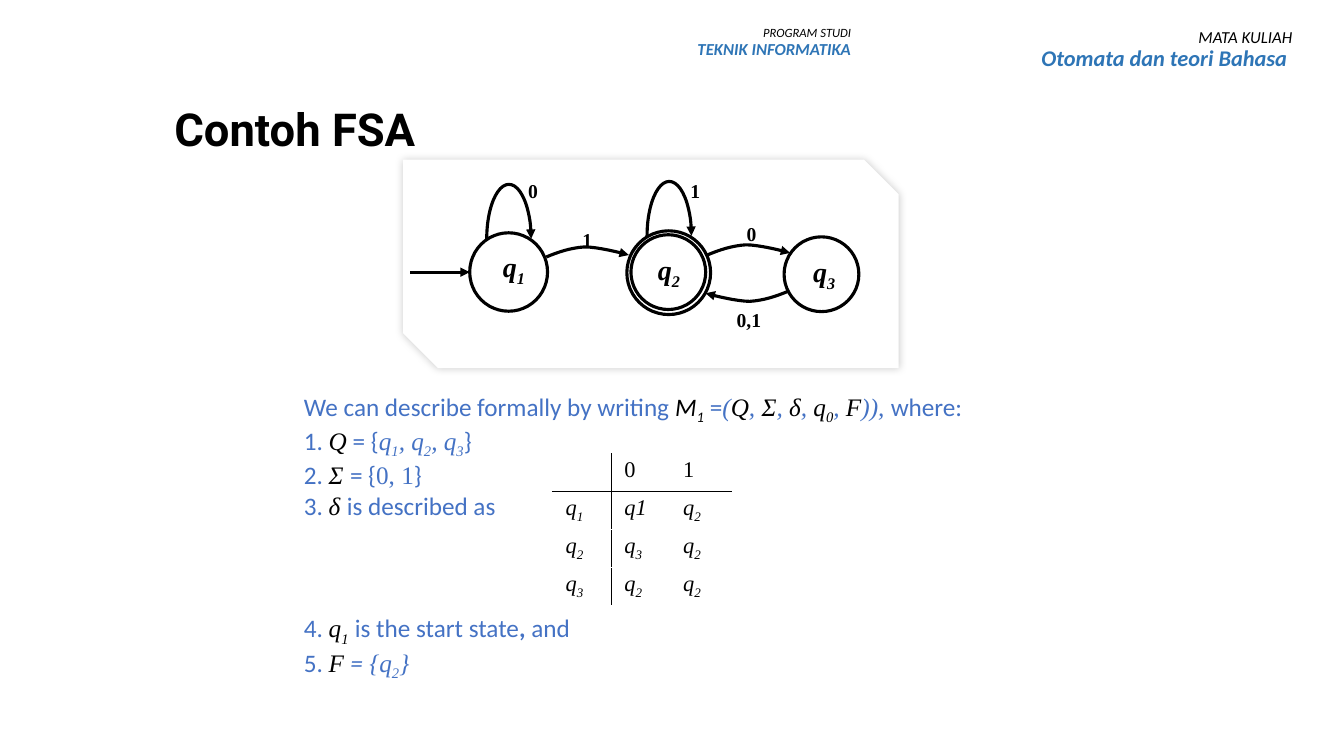
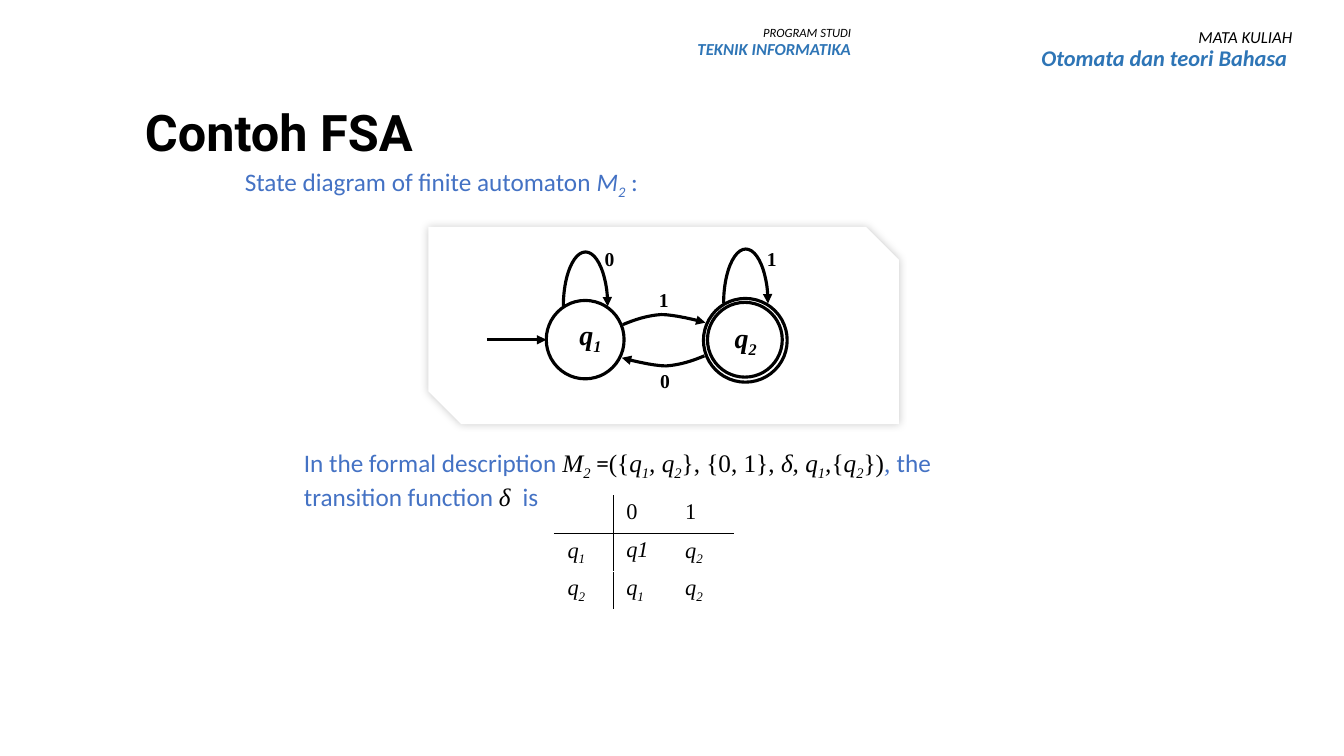
from lxml import etree
from pptx import Presentation
from pptx import util as u
from pptx.dml.color import RGBColor
from pptx.enum import shapes, text
from pptx.oxml import parse_xml
from pptx.oxml.ns import nsdecls, qn

COLORS = {"ink": "000000", "paper": "FFFFFF", "body": "4472C4", "header": "2E75B6"}
SERIF = "Times New Roman"
STROKE = 2.25


def write(target, paragraphs, box=None, size=18, font="Calibri", color="body", bold=False,
          italic=False, align=None, spacing=None, anchor=text.MSO_ANCHOR.TOP):
    """Paragraphs are strings or lists of (text, flags): t serif, i italic, k black, b bold.

    An underscore makes the next character a subscript.
    """
    holder = target.shapes.add_textbox(*map(u.Pt, box)) if box else target
    frame = holder.text_frame
    frame.word_wrap = True
    frame.vertical_anchor = anchor
    for number, runs in enumerate(paragraphs):
        paragraph = frame.add_paragraph() if number else frame.paragraphs[0]
        paragraph.alignment = align
        paragraph.line_spacing = spacing
        for words, flags in [(runs, "")] if isinstance(runs, str) else runs:
            first, *rest = words.split("_")
            pieces = [(first, False)]
            for chunk in rest:
                pieces += [(chunk[0], True), (chunk[1:], False)]
            for piece, subscript in pieces:
                if not piece:
                    continue
                run = paragraph.add_run()
                run.text = piece
                run.font.size = u.Pt(size)
                run.font.name = SERIF if "t" in flags else font
                run.font.bold = bold or "b" in flags
                run.font.italic = italic or "i" in flags
                run.font.color.rgb = RGBColor.from_string(COLORS["ink" if "k" in flags else color])
                if subscript:
                    run.font._element.set("baseline", "-25000")
    return frame


def outline(stroke, arrow=None):
    """Black line without shadow; arrow is None, headEnd or tailEnd."""
    stroke.line.color.rgb = RGBColor.from_string(COLORS["ink"])
    stroke.line.width = u.Pt(STROKE)
    if hasattr(stroke, "fill"):
        stroke.fill.background()
        stroke.shadow.inherit = False
    else:
        etree.SubElement(stroke._element.spPr, qn("a:effectLst"))
    if arrow:
        etree.SubElement(stroke.line._get_or_add_ln(), qn("a:" + arrow), type="triangle")


# Diagram geometry, measured from the top left of state q1
Q1_RINGS = [(0, 0, 55.6, 56)]
Q2_RINGS = [(112.3, -1.4, 59.8, 59.8), (115.2, 1.4, 53.4, 53.4)]
Q3_RINGS = [(224.6, 2.9, 53.4, 53.4)]
STATE_NAMES = [("q_1", 16.6, 8.6), ("q_2", 127.4, 10.8), ("q_3", 238.3, 12.2)]
LOOPS = [(8.6, -31), (123.1, -33.1)]
LOOP_LABELS = [("0", 34.6, -41.8), ("1", 150.5, -41.8)]
ARC = [(0, 0), (8.6, -3.6), (17.3, -6.5), (27.4, -7.2), (36.7, -7.2), (54, -2.9), (59, -1.4)]
ARC_STEPS = 8

pages = [
    {
        "title": (117.4, 72, 545.8, 44.6), "title_size": 32.4,
        "card": (288, 114, 354, 149), "origin": (335.5, 166.3),
        "rings": Q1_RINGS + Q2_RINGS + Q3_RINGS, "states": 3,
        # start x, start y, direction
        "arcs": [(54.7, 17.3, 1), (169.9, 15.8, 1), (227.5, 41.8, -1)],
        "labels": [("1", 73.4, -7.2), ("0", 190.8, -11.5), ("0,1", 183.6, 50.4)],
        "body": (210, 275.8, 522, 210),
        "description": [
            [("We can describe formally by writing ", ""), ("M_1 ", "ik"), ("=", ""), ("(", "ti"),
             ("Q", "tik"), (",", "ti"), (" Σ", "tik"), (",", "ti"), (" δ", "tik"), (",", "ti"),
             (" q_0", "tik"), (",", "ti"), (" F", "tik"), (")), ", "ti"), ("where:", "")],
            [("1. ", ""), ("Q", "tik"), (" = {", ""), ("q_1, q_2, q_3", "ti"), ("}", "")],
            [("2. ", ""), ("Σ ", "tik"), ("= {", ""), ("0, 1", "t"), ("}", "")],
            [("3. ", ""), ("δ ", "tik"), ("is described as", "")],
            [("4. ", ""), ("q_1 ", "tik"), ("is the start state", ""), (", ", "b"), ("and", "")],
            [("5. ", ""), ("F ", "tik"), ("=", "i"), (" {q_2}", "ti")],
        ],
        "table_at": (394.6, 324),
        "transitions": [["", "0", "1"], ["q_1", "q1", "q_2"], ["q_2", "q_3", "q_2"],
                        ["q_3", "q_2", "q_2"]],
    },
    {
        "title": (96.5, 64.8, 767.5, 64.1), "title_size": 36,
        "caption": [[("State diagram of finite automaton ", ""), ("M_2 ", "i"), (":", "")]],
        "card": (306, 162, 336, 141), "origin": (390.2, 214.6),
        "rings": Q1_RINGS + Q2_RINGS, "states": 2,
        "arcs": [(54.7, 17.3, 1), (113, 39.6, -1)],
        "labels": [("1", 73.4, -12.2), ("0", 74.2, 45.4)],
        "body": (210, 315.8, 522, 116),
        "description": [
            [("In the formal description ", ""), ("M_2", "tik"), (" =", "k"), ("({", "tk"),
             ("q_1, q_2", "tik"), ("}, {0, 1}, ", "tk"), ("δ, q_1,", "tik"), ("{", "tk"),
             ("q_2", "tik"), ("})", "tk"), (", ", "ti"), ("the transition function ", ""),
             ("δ ", "tik"), (" is", "")],
        ],
        "table_at": (396, 354.2),
        "transitions": [["", "0", "1"], ["q_1", "q1", "q_2"], ["q_2", "q_1", "q_2"]],
    },
]
COLUMN_WIDTHS = [42, 42, 43.6]
ROW_HEIGHT = 27.1

# Page header: box, then lines with size, colour and weight
HEADERS = [
    ((434, 15.8, 181, 40), "PROGRAM STUDI", 9, "TEKNIK INFORMATIKA", 12),
    ((659.5, 17.3, 270.7, 53.3), "MATA KULIAH", 12, "Otomata dan teori Bahasa ", 16),
]

deck = Presentation()
deck.slide_width, deck.slide_height = u.Pt(960), u.Pt(540)

for page in pages:
    slide = deck.slides.add_slide(deck.slide_layouts[6])

    # Header and title
    for box, label, label_size, name, name_size in HEADERS:
        header = write(slide, [label, name], box, size=label_size, color="ink", italic=True,
                       align=text.PP_ALIGN.RIGHT, spacing=0.9)
        name_font = header.paragraphs[1].runs[0].font
        name_font.size = u.Pt(name_size)
        name_font.bold = True
        name_font.color.rgb = RGBColor.from_string(COLORS["header"])
    write(slide, ["Contoh FSA"], page["title"], size=page["title_size"], font="Roboto",
          color="ink", bold=True, spacing=0.9, anchor=text.MSO_ANCHOR.MIDDLE)
    if "caption" in page:
        write(slide, page["caption"], (167.8, 115.2, 540, 29))

    # Card with a soft shadow
    card = slide.shapes.add_shape(shapes.MSO_SHAPE.SNIP_2_DIAG_RECTANGLE, *map(u.Pt, page["card"]))
    card.fill.solid()
    card.fill.fore_color.rgb = RGBColor.from_string(COLORS["paper"])
    card.line.fill.background()
    card._element.spPr.append(parse_xml(
        f'<a:effectLst {nsdecls("a")}><a:outerShdw blurRad="{u.Pt(6)}" dist="0" dir="13500000">'
        f'<a:srgbClr val="{COLORS["ink"]}"><a:alpha val="20000"/></a:srgbClr>'
        '</a:outerShdw></a:effectLst>'))

    # States, self loops and the start arrow
    left, top = page["origin"]
    for x, y, width, height in page["rings"]:
        outline(slide.shapes.add_shape(shapes.MSO_SHAPE.OVAL, u.Pt(left + x), u.Pt(top + y),
                                       u.Pt(width), u.Pt(height)))
    for x, y in LOOPS:
        loop = slide.shapes.add_shape(shapes.MSO_SHAPE.LEFT_BRACKET, u.Pt(left + x),
                                      u.Pt(top + y), u.Pt(38.9), u.Pt(31.7))
        loop.adjustments[0] = 0.5
        loop.rotation = 270
        loop._element.spPr.xfrm.set("flipH", "1")
        outline(loop, "headEnd")
    start = slide.shapes.add_connector(shapes.MSO_CONNECTOR.STRAIGHT, u.Pt(left - 42.5),
                                       u.Pt(top + 28.1), u.Pt(left), u.Pt(top + 28.1))
    outline(start, "tailEnd")

    # Curved transitions: two Bézier pieces each
    for x, y, direction in page["arcs"]:
        points = [(left + x, top + y)]
        for piece in (ARC[:4], ARC[3:]):
            for step in range(1, ARC_STEPS + 1):
                t = step / ARC_STEPS
                weights = ((1 - t) ** 3, 3 * t * (1 - t) ** 2, 3 * t * t * (1 - t), t ** 3)
                dx, dy = (sum(w * p[axis] for w, p in zip(weights, piece)) for axis in (0, 1))
                points.append((left + x + direction * dx, top + y + direction * dy))
        points = [(u.Pt(px), u.Pt(py)) for px, py in points]
        builder = slide.shapes.build_freeform(*points[0])
        builder.add_line_segments(points[1:], close=False)
        outline(builder.convert_to_shape(), "tailEnd")

    # State names and input symbols
    for name, x, y in STATE_NAMES[:page["states"]]:
        write(slide, [name], (left + x, top + y, 33.8, 31.7), size=20, font=SERIF, color="ink",
              bold=True, italic=True)
    for symbol, x, y in LOOP_LABELS + page["labels"]:
        write(slide, [symbol], (left + x, top + y, 33.8, 24.5), size=14, font=SERIF, color="ink",
              bold=True)

    # Formal description, with room for the table before item 4
    description = write(slide, page["description"], page["body"])
    if len(description.paragraphs) > 4:
        description.paragraphs[4].space_before = u.Pt(66)

    # Transition table
    rows = page["transitions"]
    table = slide.shapes.add_table(len(rows), len(COLUMN_WIDTHS), *map(u.Pt, page["table_at"]),
                                   u.Pt(sum(COLUMN_WIDTHS)), u.Pt(ROW_HEIGHT * len(rows))).table
    table.first_row = table.horz_banding = False
    for column, width in zip(table.columns, COLUMN_WIDTHS):
        column.width = u.Pt(width)
    for r, row in enumerate(rows):
        table.rows[r].height = u.Pt(ROW_HEIGHT)
        for c, value in enumerate(row):
            cell = table.cell(r, c)
            cell.margin_left = cell.margin_right = u.Pt(9.4)
            cell.margin_top = cell.margin_bottom = 0
            cell.fill.background()
            write(cell, [value], size=16, font=SERIF, color="ink", italic=r > 0, spacing=1.15)
            edges = {"lnL": c == 1, "lnR": c == 0, "lnT": r == 1, "lnB": r == 0}
            drawn = [edge for edge, shown in edges.items() if shown]
            for position, edge in enumerate(drawn):
                cell._tc.get_or_add_tcPr().insert(position, parse_xml(
                    f'<a:{edge} {nsdecls("a")} w="{u.Pt(1)}"><a:solidFill>'
                    f'<a:srgbClr val="{COLORS["ink"]}"/></a:solidFill></a:{edge}>'))

deck.save("out.pptx")
